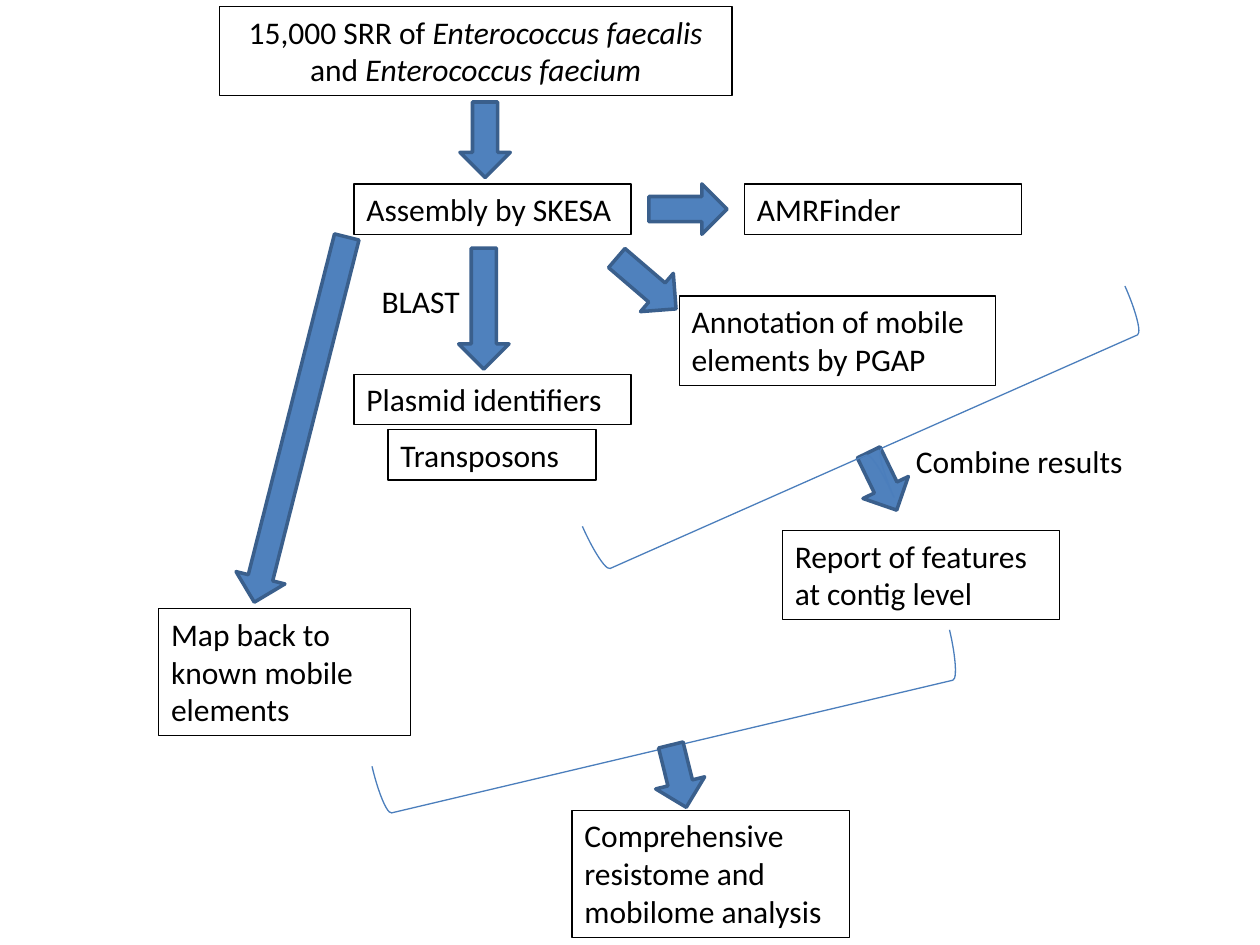
from pptx import Presentation
from pptx.dml.color import RGBColor
from pptx.enum.shapes import MSO_SHAPE
from pptx.enum.text import MSO_AUTO_SIZE, PP_ALIGN
from pptx.util import Inches, Pt

ARROW, BRACE = MSO_SHAPE.RIGHT_ARROW, MSO_SHAPE.RIGHT_BRACE
FIT = MSO_AUTO_SIZE.SHAPE_TO_FIT_TEXT
LEFT, CENTER = PP_ALIGN.LEFT, PP_ALIGN.CENTER
BLACK = RGBColor(0x00, 0x00, 0x00)
BLUE = RGBColor(0x4F, 0x81, 0xBD)
ARROW_EDGE = RGBColor(0x3A, 0x5F, 0x8C)
BRACE_EDGE = RGBColor(0x4B, 0x7E, 0xBC)

# Box height by number of text lines
HEIGHTS = {1: 0.4, 2: 0.71, 3: 1.01}
STEP = 2.2  # usual box width
ARROW_HEIGHT = 0.4
BRACE_SIZE = (0.79, 4.71)

# Boxes: text, left, top, width, lines
BOXES = [
    ("AMRFinder", 5.91, 1.46, STEP, 1),
    ("Assembly by SKESA", 2.81, 1.46, STEP, 1),
    ("Plasmid identifiers", 2.81, 2.97, STEP, 1),
    ("Transposons", 3.08, 3.41, 1.65, 1),
    ("Annotation of mobile elements by PGAP", 5.39, 2.35, 2.51, 2),
    ("Report of features at contig level", 6.21, 4.21, STEP, 2),
    ("Map back to known mobile elements", 1.26, 4.83, 2, 3),
    ("Comprehensive resistome and mobilome analysis", 4.54, 6.43, STEP, 3),
]
# Title spans: text, italic
TITLE = [
    ("15,000 SRR of ", False),
    ("Enterococcus faecalis ", True),
    ("and ", False),
    ("Enterococcus faecium", True),
]
# Labels: text, left, top, width
LABELS = [("BLAST", 2.93, 2.19, 1.12), ("Combine results", 7.17, 3.46, 1.88)]
# Arrows: left, top, length, rotation
ARROWS = [
    (3.55, 0.91, 0.6, 90),
    (3.36, 2.25, 0.96, 90),
    (5.15, 1.46, 0.62, 0),
    (4.82, 2.05, 0.62, 40.6),
    (6.75, 3.62, 0.51, 64.1),
    (0.89, 3.13, 2.99, 104.2),
]
RESULT_ARROW = (5.13, 5.96, 0.51, 76.1)
# Braces: left, top, rotation
BRACES = [(6.54, 1.23, 66.1), (4.94, 3.57, 76.7)]

deck = Presentation()
deck.slide_width, deck.slide_height = Inches(10), Inches(7.5)
page = deck.slides.add_slide(deck.slide_layouts[6])


def add_text(spans, left, top, width, lines=1, align=LEFT, framed=True):
    box = page.shapes.add_textbox(*map(Inches, (left, top, width, HEIGHTS[lines])))
    if framed:
        box.line.color.rgb = BLACK
        box.line.width = Pt(0.75)
    box.text_frame.word_wrap = True
    box.text_frame.auto_size = FIT
    para = box.text_frame.paragraphs[0]
    para.alignment = align
    for text, italic in spans:
        span = para.add_run()
        span.text = text
        span.font.color.rgb = BLACK
        for name, value in {"name": "Calibri", "size": Pt(18), "italic": italic}.items():
            setattr(span.font, name, value)


def add_mark(kind, left, top, width, height, rotation, edge, weight):
    mark = page.shapes.add_shape(kind, *map(Inches, (left, top, width, height)))
    mark.shadow.inherit = False
    mark.rotation = rotation
    mark.line.color.rgb = edge
    mark.line.width = Pt(weight)
    return mark


def add_arrow(left, top, length, rotation):
    arrow = add_mark(ARROW, left, top, length, ARROW_HEIGHT, rotation, ARROW_EDGE, 2)
    arrow.fill.solid()
    arrow.fill.fore_color.rgb = BLUE


# Text boxes and labels
add_text(TITLE, 1.74, 0.05, 4.07, lines=2, align=CENTER)
for text, *place in BOXES:
    add_text([(text, False)], *place)
for text, *place in LABELS:
    add_text([(text, False)], *place, framed=False)

# Arrows and braces; the result arrow lies over its brace
for arrow_place in ARROWS:
    add_arrow(*arrow_place)
for left, top, rotation in BRACES:
    brace = add_mark(BRACE, left, top, *BRACE_SIZE, rotation, BRACE_EDGE, 0.75)
    brace.fill.background()
add_arrow(*RESULT_ARROW)

deck.save("out.pptx")
